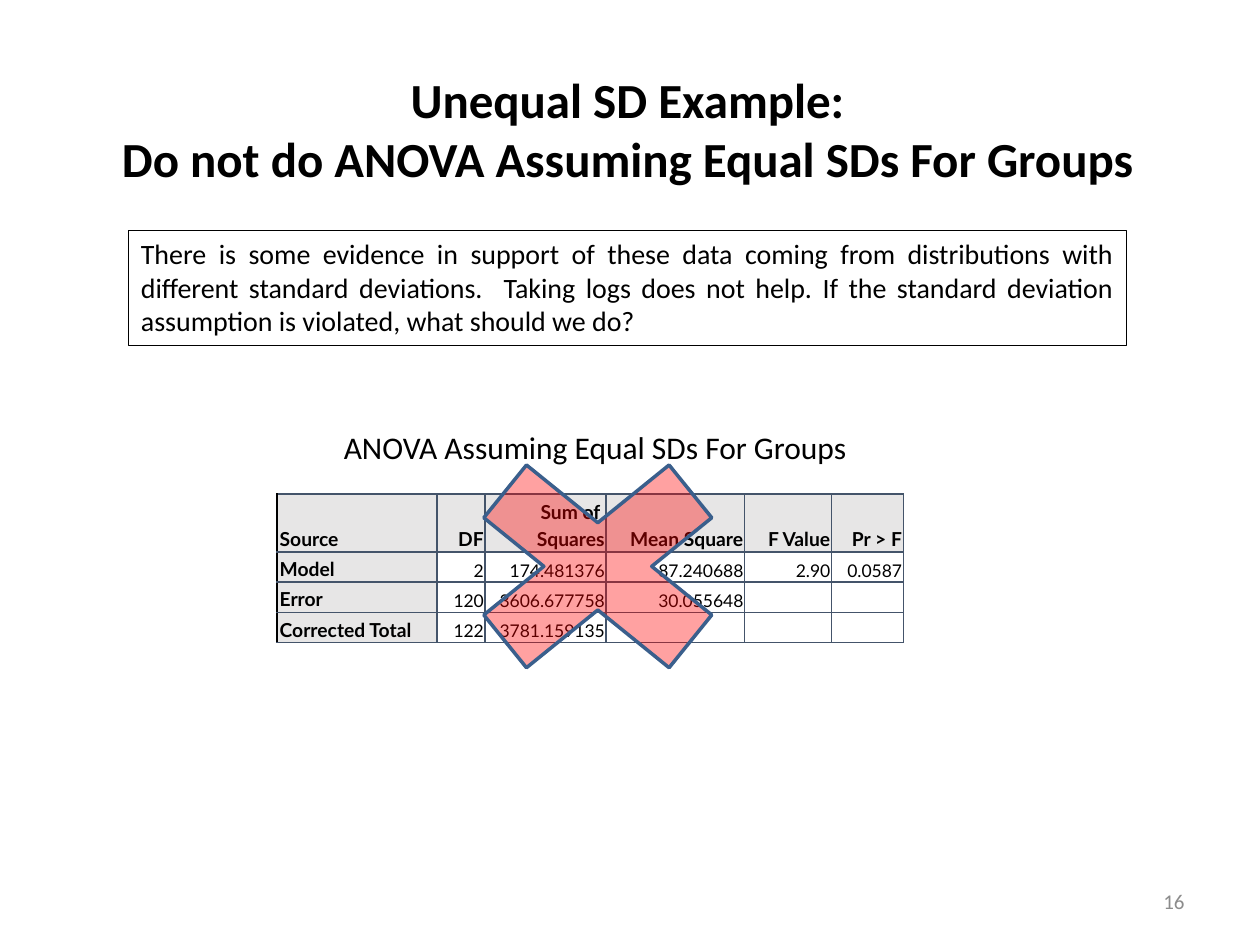
from lxml import etree
from pptx import Presentation
from pptx.dml.color import RGBColor
from pptx.enum.shapes import MSO_SHAPE
from pptx.enum.text import MSO_ANCHOR, PP_ALIGN
from pptx.oxml.ns import qn
from pptx.util import Inches, Pt

LEFT, CENTER, RIGHT, JUSTIFY = PP_ALIGN.LEFT, PP_ALIGN.CENTER, PP_ALIGN.RIGHT, PP_ALIGN.JUSTIFY
TOP, MIDDLE, BOTTOM = MSO_ANCHOR.TOP, MSO_ANCHOR.MIDDLE, MSO_ANCHOR.BOTTOM
RECTANGLE, MULTIPLY = MSO_SHAPE.RECTANGLE, MSO_SHAPE.MATH_MULTIPLY

THEME = {
    "font": "Calibri", "table_font": "Lato",
    "ink": "000000", "muted": "8C8C8C", "grid": "44546A",
    "label_fill": "E7E6E6", "value_fill": "FFFFFF",
    "cross": "FF0000", "cross_line": "3A5F8C",
    "title": 28, "caption": 18, "body": 16, "number": 12, "label": 11, "value": 10,
}


def write(frame, text, size, align=LEFT, anchor=TOP, color="ink", bold=False, font="font"):
    frame.word_wrap = True
    frame.vertical_anchor = anchor
    para = frame.paragraphs[0]
    para.text = text
    para.alignment = align
    para.font.name = THEME[font]
    para.font.size = Pt(THEME[size])
    para.font.bold = bold
    para.font.color.rgb = RGBColor.from_string(THEME[color])
    return para


def add_border(cell, side, color):
    line = etree.SubElement(cell._tc.get_or_add_tcPr(), qn(f"a:ln{side}"), w=str(Pt(1)))
    fill = etree.SubElement(line, qn("a:solidFill"))
    etree.SubElement(fill, qn("a:srgbClr"), val=THEME[color])


deck = Presentation()
deck.slide_width, deck.slide_height = Inches(10), Inches(7.5)
slide = deck.slides.add_slide(deck.slide_layouts[6])
shapes = slide.shapes

anova_rows = [
    ["Source", "DF", "Sum of \vSquares", "Mean Square", "F Value", "Pr\u00a0>\u00a0F".replace("\u00a0", " ")],
    ["Model", "2", "174.481376", "87.240688", "2.90", "0.0587"],
    ["Error", "120", "3606.677758", "30.055648", "", ""],
    ["Corrected Total", "122", "3781.159135", "", "", ""],
]
column_widths = [1.27, 0.38, 0.96, 1.1, 0.69, 0.57]
row_heights = [0.46, 0.24, 0.24, 0.24]
table = shapes.add_table(
    len(row_heights), len(column_widths), Inches(2.2), Inches(3.92),
    Inches(sum(column_widths)), Inches(sum(row_heights)),
).table
for column, width in zip(table.columns, column_widths):
    column.width = Inches(width)
for row, height in zip(table.rows, row_heights):
    row.height = Inches(height)

for row_index, texts in enumerate(anova_rows):
    for column_index, text in enumerate(texts):
        cell = table.cell(row_index, column_index)
        is_label = row_index == 0 or column_index == 0
        size = "label" if is_label else "value"
        cell.margin_left = cell.margin_right = Inches(0.01)
        cell.margin_top = cell.margin_bottom = Inches(0.01)
        para = write(cell.text_frame, text, size, RIGHT if column_index else LEFT,
                     bold=is_label, font="table_font")
        cell.vertical_anchor = BOTTOM
        if text:
            para.line_spacing = 1.15
            para.space_before = para.space_after = Pt(1)
            para._p.get_or_add_pPr().set("marL", str(Inches(0.01)))
        else:
            etree.SubElement(para._p, qn("a:endParaRPr"), sz=str(THEME[size] * 100))
        for side in "LRTB":
            add_border(cell, side, "ink" if side == "L" and column_index == 0 else "grid")
        cell.fill.solid()
        cell.fill.fore_color.rgb = RGBColor.from_string(THEME[f"{size}_fill"])

title = shapes.add_textbox(Inches(0.48), Inches(0.67), Inches(9), Inches(0.7))
write(title.text_frame, "Unequal SD Example:\vDo not do ANOVA Assuming Equal SDs For Groups",
      "title", CENTER, MIDDLE, bold=True)

cross = shapes.add_shape(MULTIPLY, Inches(3.33), Inches(3.35), Inches(2.83), Inches(2.29))
cross.shadow.inherit = False
cross.fill.solid()
cross.fill.fore_color.rgb = RGBColor.from_string(THEME["cross"])
cross_color = cross._element.spPr.find(qn("a:solidFill")).find(qn("a:srgbClr"))
etree.SubElement(cross_color, qn("a:alpha"), val="37000")
cross.line.color.rgb = RGBColor.from_string(THEME["cross_line"])
cross.line.width = Pt(2)

question = shapes.add_shape(RECTANGLE, Inches(1.02), Inches(1.83), Inches(7.92), Inches(0.91))
question.shadow.inherit = False
question.fill.background()
question.line.color.rgb = RGBColor.from_string(THEME["ink"])
question.line.width = Pt(0.75)
write(question.text_frame,
      "There is some evidence in support of these data coming from distributions with "
      "different standard deviations.  Taking logs does not help. If the standard deviation "
      "assumption is violated, what should we do?", "body", JUSTIFY)

caption = shapes.add_textbox(Inches(2.63), Inches(3.35), Inches(4.38), Inches(0.4))
write(caption.text_frame, "ANOVA Assuming Equal SDs For Groups", "caption")

page_number = shapes.add_textbox(Inches(7.17), Inches(6.95), Inches(2.33), Inches(0.4))
write(page_number.text_frame, "16", "number", RIGHT, MIDDLE, "muted")

deck.save("out.pptx")
